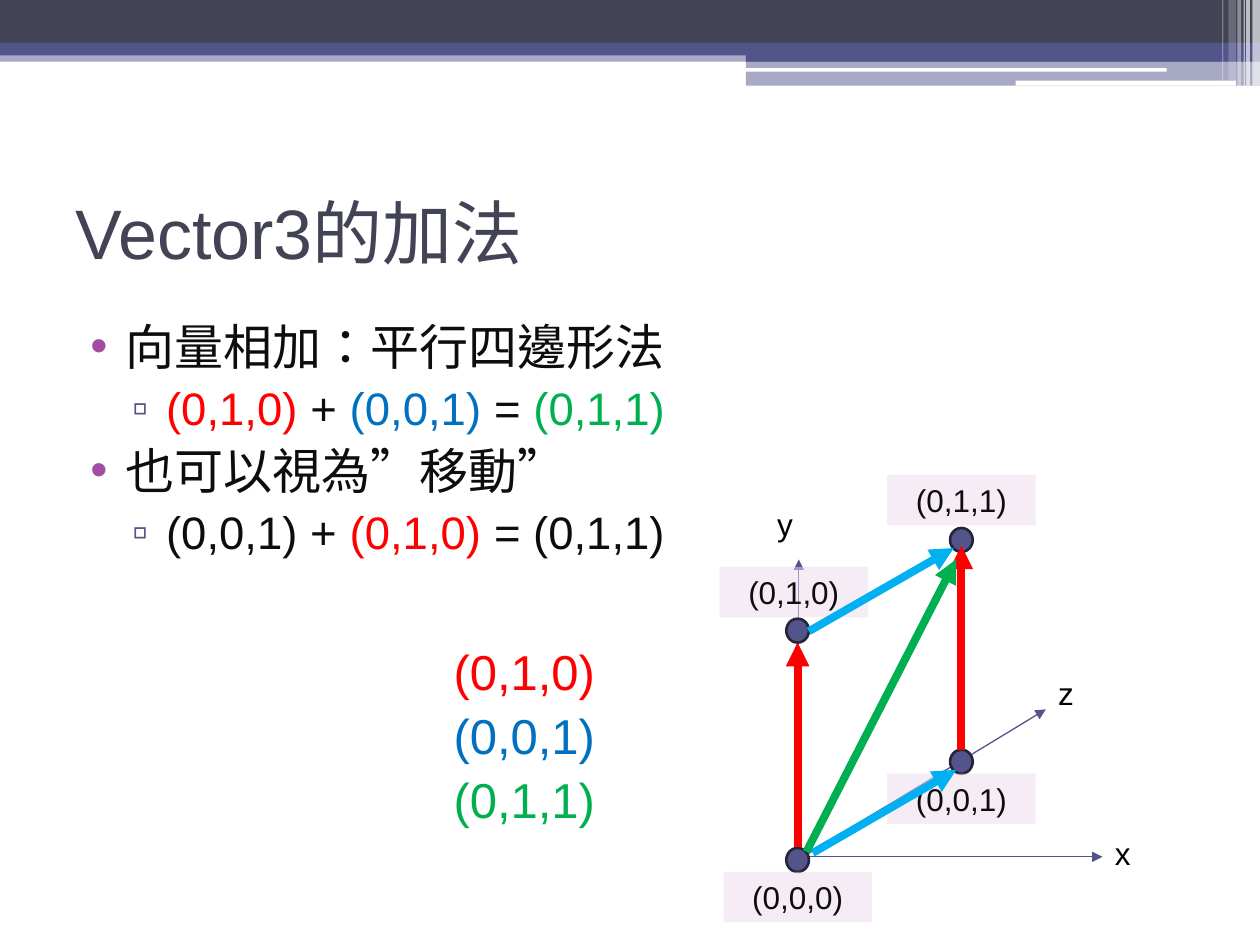
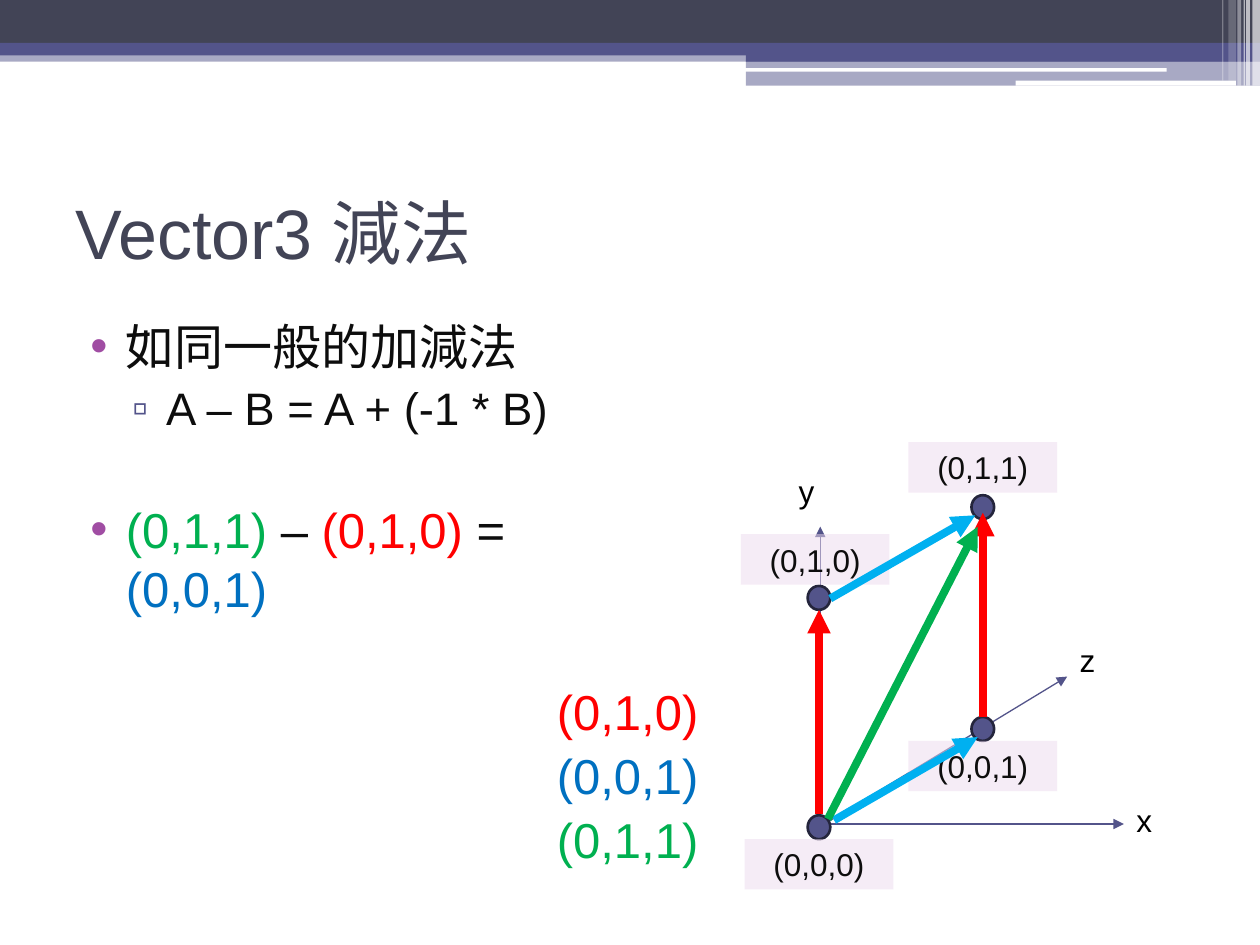
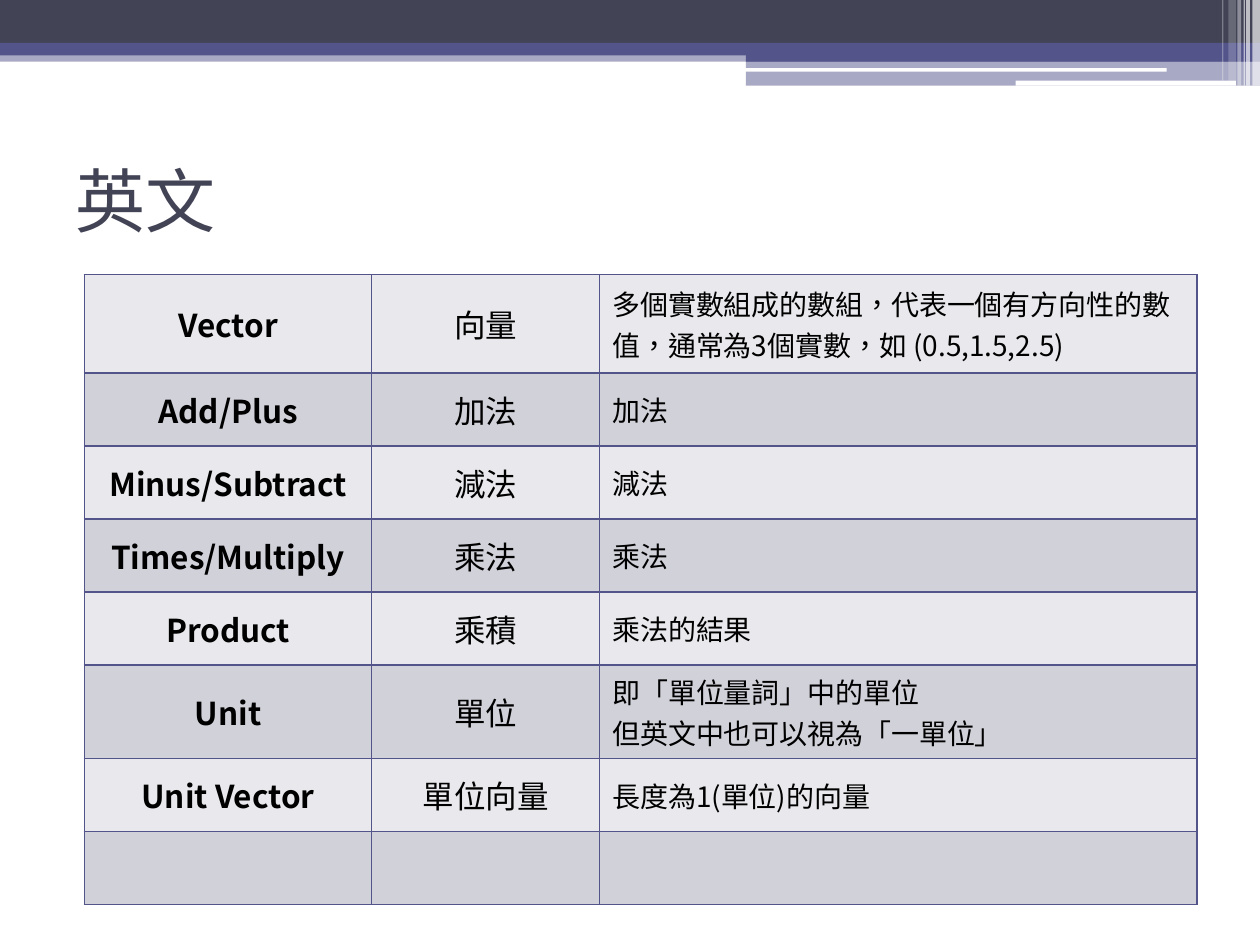
from lxml.etree import SubElement
from pptx import Presentation
from pptx.dml.color import RGBColor
from pptx.enum.lang import MSO_LANGUAGE_ID
from pptx.enum.shapes import MSO_CONNECTOR, MSO_SHAPE
from pptx.enum.text import MSO_ANCHOR, PP_ALIGN
from pptx.oxml import parse_xml
from pptx.oxml.ns import nsdecls, qn
from pptx.util import Inches, Pt

WHITE, BLACK, INK = "FFFFFF", "000000", "0D0D0D"
SLATE, INDIGO, NAVY = "424456", "53548A", "24253C"
PURPLE, LILAC = "A04DA3", "EDDAEE"
RED, BLUE, GREEN, SKY = "FF0000", "0070C0", "00B050", "00B0F0"
PALE_ROW, DARK_ROW = "E9E9ED", "D1D1DA"

# left, top, width, height, colour, opacity in percent
BANDS = [
    (0, 0.4, 10, 0.09, INDIGO, 50),
    (0, 0, 10, 0.34, SLATE, 100),
    (0, 0.34, 10, 0.1, INDIGO, 100),
    (5.92, 0.39, 4.08, 0.1, INDIGO, 100),
    (5.92, 0.48, 4.08, 0.2, INDIGO, 50),
    (5.91, 0.54, 3.35, 0.03, WHITE, 100),
    (8.06, 0.64, 1.75, 0.04, WHITE, 100),
    (9.94, 0, 0.06, 0.68, WHITE, 65),
    (9.89, 0, 0.03, 0.68, WHITE, 65),
    (9.87, 0, 0.01, 0.68, WHITE, 60),
    (9.82, 0, 0.03, 0.68, WHITE, 40),
    (9.75, 0, 0.06, 0.64, WHITE, 20),
    (9.7, 0, 0.01, 0.64, WHITE, 30),
]
TITLES = [("Vector3的加法", 1.25), ("Vector3 減法", 1.25), ("英文", 1)]

# per level: bullet, its colour, left margin, hanging indent, text size
LEVELS = [("•", PURPLE, 0.4, 0.28, 28), ("▫", INDIGO, 0.72, 0.27, 26)]

# from x, from y, to x, to y, colour, width
AXES = [
    (6.34, 6.8, 8.75, 6.8, INDIGO, 0.75),
    (6.34, 6.82, 6.34, 4.44, INDIGO, 0.75),
    (6.34, 6.82, 8.3, 5.63, INDIGO, 0.75),
]
VECTORS = [
    (6.33, 6.72, 6.33, 5.1, RED, 4.5),
    (7.63, 5.95, 7.63, 4.33, RED, 4.5),
    (6.42, 5.01, 7.57, 4.35, SKY, 4.5),
    (6.45, 6.77, 7.59, 6.11, SKY, 4.5),
    (6.4, 6.76, 7.59, 4.44, GREEN, 4.5),
]
AXIS_NAMES = [("x", 8.75, 6.57), ("y", 6.07, 3.96), ("z", 8.3, 5.3)]
# name, dot left, dot top, label left, label top
POINTS = [
    ("(0,0,0)", 6.24, 6.73, 5.74, 6.92),
    ("(0,1,0)", 6.24, 4.91, 5.71, 4.5),
    ("(0,0,1)", 7.54, 5.95, 7.04, 6.14),
    ("(0,1,1)", 7.54, 4.19, 7.04, 3.77),
]
COLUMN = [("(0,1,0)", RED), ("(0,0,1)", BLUE), ("(0,1,1)", GREEN)]

# list items are level, space before, runs
VECTOR_SLIDES = [
    {
        "list_width": 9,
        "items": [
            (0, 0, [("向量相加：平行四邊形法", INK)]),
            (1, 3, [("(0,1,0) ", RED), ("+ ", INK), ("(0,0,1) ", BLUE),
                    ("= ", INK), ("(0,1,1)", GREEN)]),
            (0, 3, [("也可以視為”移動”", INK)]),
            (1, 3, [("(0,0,1) +", INK), (" (0,1,0) ", RED), ("= (0,1,1)", INK)]),
        ],
        "column_at": (3.38, 5.04),
        "diagram_shift": (0, 0),
    },
    {
        "list_width": 4.8,
        "items": [
            (0, 0, [("如同一般的加減法", INK)]),
            (1, 3, [("A – B = A + (-1 * B)", INK)]),
            (0, 37, [("(0,1,1) ", GREEN), ("– ", INK), ("(0,1,0) ", RED),
                     ("= ", INK), ("(0,0,1)", BLUE)]),
        ],
        "column_at": (4.2, 5.36),
        "diagram_shift": (0.17, -0.26),
    },
]
# row height, English term, Chinese term, meaning
GLOSSARY = [
    (0.78, "Vector", "向量", "多個實數組成的數組，代表一個有方向性的數值，通常為3個實數，如 (0.5,1.5,2.5)"),
    (0.58, "Add/Plus", "加法", "加法"),
    (0.58, "Minus/Subtract", "減法", "減法"),
    (0.58, "Times/Multiply", "乘法", "乘法"),
    (0.58, "Product", "乘積", "乘法的結果"),
    (0.74, "Unit", "單位", "即「單位量詞」中的單位\n但英文中也可以視為「一單位」"),
    (0.58, "Unit Vector", "單位向量", "長度為1(單位)的向量"),
    (0.58, "", "", ""),
]


def add_box(shapes, kind, at, colour, opacity=100, outline=None):
    """Add a filled preset shape; opacity is in percent."""
    shape = shapes.add_shape(kind, *map(Inches, at))
    shape.shadow.inherit = False
    shape.fill.solid()
    shape.fill.fore_color.rgb = RGBColor.from_string(colour)
    if opacity < 100:
        fill_colour = shape.element.spPr.find(qn("a:solidFill"))[0]
        SubElement(fill_colour, qn("a:alpha"), val=str(opacity * 1000))
    if outline:
        shape.line.color.rgb = RGBColor.from_string(outline)
        shape.line.width = Pt(1.5)
    else:
        shape.line.fill.background()
    return shape


def add_runs(paragraph, runs, size, font="Arial", bold=False):
    """Add (text, colour) runs; a newline in the text becomes a line break."""
    for text, colour in runs:
        for number, line in enumerate(text.split("\n")):
            if number:
                paragraph.add_line_break()
            run = paragraph.add_run()
            run.text = line
            run.font.name = font
            run.font.size = Pt(size)
            run.font.bold = bold
            run.font.color.rgb = RGBColor.from_string(colour)
            run.font.language_id = MSO_LANGUAGE_ID.TRADITIONAL_CHINESE


presentation = Presentation()
presentation.slide_width = Inches(10)
presentation.slide_height = Inches(7.5)

slides = []
for title, title_top in TITLES:
    slide = presentation.slides.add_slide(presentation.slide_layouts[6])
    slides.append(slide)
    for *band_at, colour, opacity in BANDS:
        add_box(slide.shapes, MSO_SHAPE.RECTANGLE, band_at, colour, opacity)
    title_box = slide.shapes.add_textbox(Inches(0.5), Inches(title_top), Inches(9), Inches(1.17))
    title_box.text_frame.word_wrap = True
    title_box.text_frame.vertical_anchor = MSO_ANCHOR.MIDDLE
    add_runs(title_box.text_frame.paragraphs[0], [(title, SLATE)], 40)

for slide, content in zip(slides, VECTOR_SLIDES):
    column_left, column_top = content["column_at"]
    column = slide.shapes.add_textbox(
        Inches(column_left), Inches(column_top), Inches(2.3), Inches(1.78))
    column.text_frame.word_wrap = True
    column.text_frame.margin_left = Inches(0.22)
    for number, run in enumerate(COLUMN):
        paragraph = column.text_frame.add_paragraph() if number else column.text_frame.paragraphs[0]
        if number:
            paragraph.space_before = Pt(3)
        add_runs(paragraph, [run], 28)

    diagram = slide.shapes.add_group_shape()
    for name, left, top in AXIS_NAMES:
        name_box = diagram.shapes.add_textbox(Inches(left), Inches(top), Inches(0.33), Inches(0.4))
        name_box.text_frame.word_wrap = False
        add_runs(name_box.text_frame.paragraphs[0], [(name, BLACK)], 18)
    for arrows, points in ((AXES, POINTS), (VECTORS, [])):
        for *ends, colour, width in arrows:
            arrow = diagram.shapes.add_connector(MSO_CONNECTOR.STRAIGHT, *map(Inches, ends))
            arrow.line.color.rgb = RGBColor.from_string(colour)
            arrow.line.width = Pt(width)
            properties = arrow.element.spPr
            SubElement(properties.find(qn("a:ln")), qn("a:tailEnd"), type="triangle")
            SubElement(properties, qn("a:effectLst"))
        for name, dot_left, dot_top, label_left, label_top in points:
            add_box(diagram.shapes, MSO_SHAPE.OVAL, (dot_left, dot_top, 0.18, 0.19),
                    INDIGO, outline=NAVY)
            label = add_box(diagram.shapes, MSO_SHAPE.RECTANGLE,
                            (label_left, label_top, 1.18, 0.4), LILAC, 50)
            paragraph = label.text_frame.paragraphs[0]
            paragraph.alignment = PP_ALIGN.CENTER
            add_runs(paragraph, [(name, INK)], 18)
    shift_x, shift_y = content["diagram_shift"]
    diagram.left += Inches(shift_x)
    diagram.top += Inches(shift_y)

    list_box = slide.shapes.add_textbox(
        Inches(0.5), Inches(2.46), Inches(content["list_width"]), Inches(4.73))
    list_box.text_frame.word_wrap = True
    for number, (level, space_before, runs) in enumerate(content["items"]):
        paragraph = list_box.text_frame.add_paragraph() if number else list_box.text_frame.paragraphs[0]
        bullet, bullet_colour, margin, hanging, size = LEVELS[level]
        paragraph.level = level
        properties = paragraph._p.get_or_add_pPr()
        properties.set("marL", str(Inches(margin)))
        properties.set("indent", str(-Inches(hanging)))
        SubElement(SubElement(properties, qn("a:buClr")), qn("a:srgbClr"), val=bullet_colour)
        SubElement(properties, qn("a:buFont"), typeface="Arial")
        SubElement(properties, qn("a:buChar"), char=bullet)
        if space_before:
            paragraph.space_before = Pt(space_before)
        add_runs(paragraph, runs, size)

table = slides[2].shapes.add_table(
    len(GLOSSARY), 3, Inches(0.67), Inches(2.18), Inches(8.83), Inches(5)).table
table.first_row = False
table.horz_banding = False
for column, width in zip(table.columns, (2.28, 1.81, 4.74)):
    column.width = Inches(width)
for row_number, (row, (height, *texts)) in enumerate(zip(table.rows, GLOSSARY)):
    row.height = Inches(height)
    for column_number, (cell, text) in enumerate(zip(row.cells, texts)):
        cell.vertical_anchor = MSO_ANCHOR.MIDDLE
        cell.fill.solid()
        cell.fill.fore_color.rgb = RGBColor.from_string(DARK_ROW if row_number % 2 else PALE_ROW)
        for position, side in enumerate(("lnL", "lnR", "lnT", "lnB")):
            border = parse_xml(
                f'<a:{side} {nsdecls("a")} w="{Pt(1)}"><a:solidFill>'
                f'<a:srgbClr val="{INDIGO}"/></a:solidFill></a:{side}>')
            cell._tc.get_or_add_tcPr().insert(position, border)
        if text:
            paragraph = cell.text_frame.paragraphs[0]
            is_meaning = column_number == 2
            paragraph.alignment = PP_ALIGN.LEFT if is_meaning else PP_ALIGN.CENTER
            add_runs(paragraph, [(text, BLACK)], 16 if is_meaning else 18,
                     "Noto Sans CJK SC", bold=column_number == 0)

presentation.save("out.pptx")
